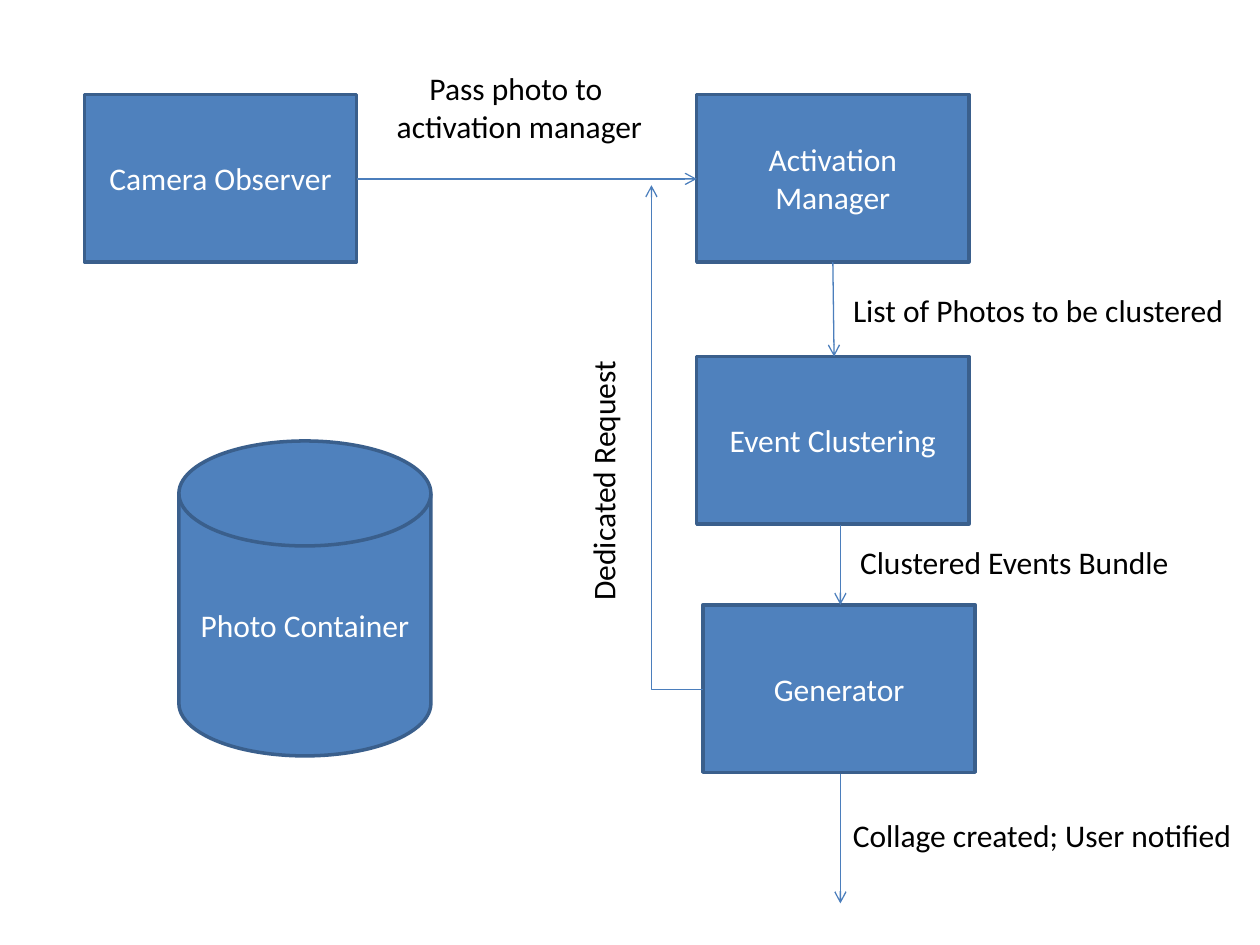
"""Build a slide showing how photos flow from camera observer to collage."""
from lxml.etree import SubElement
from pptx import Presentation
from pptx.dml.color import RGBColor
from pptx.enum.shapes import MSO_CONNECTOR as LINK, MSO_SHAPE as SHAPE
from pptx.enum.text import MSO_ANCHOR as ANCHOR, MSO_AUTO_SIZE as FIT, PP_ALIGN as ALIGN
from pptx.oxml.ns import qn
from pptx.util import Inches, Pt


def write(box, text, color="000000", align=ALIGN.CENTER, anchor=ANCHOR.TOP, wrap=True):
    frame = box.text_frame
    frame.word_wrap = wrap
    frame.vertical_anchor = anchor
    frame.text = text
    for para in frame.paragraphs:
        para.alignment = align
        for span in para.runs:
            span.font.name = "Calibri"
            span.font.size = Pt(18)
            span.font.color.rgb = RGBColor.from_string(color)


def connect(page, kind, start, end):
    arrow = page.shapes.add_connector(kind, *map(Inches, start + end))
    arrow.line.color.rgb = RGBColor.from_string("4B7EBC")
    arrow.line.width = Pt(0.75)
    properties = arrow._element.spPr
    SubElement(properties.find(qn("a:ln")), qn("a:tailEnd"), type="arrow")
    SubElement(properties, qn("a:effectLst"))
    return arrow


deck = Presentation()
deck.slide_width, deck.slide_height = Inches(10), Inches(7.5)
page = deck.slides.add_slide(deck.slide_layouts[6])

step_size = (2.16, 1.33)
nodes = [
    ("Camera Observer", SHAPE.RECTANGLE, (0.67, 0.75), step_size),
    ("Activation Manager", SHAPE.RECTANGLE, (5.53, 0.75), step_size),
    ("Photo Container", SHAPE.FLOWCHART_MAGNETIC_DISK, (1.42, 3.5), (2, 2.5)),
    ("Event Clustering", SHAPE.RECTANGLE, (5.53, 2.83), step_size),
    ("Generator", SHAPE.RECTANGLE, (5.58, 4.8), step_size),
]
for text, kind, place, size in nodes:
    node = page.shapes.add_shape(kind, *map(Inches, place + size))
    node.shadow.inherit = False
    node.fill.solid()
    node.fill.fore_color.rgb = RGBColor.from_string("4F81BD")
    node.line.color.rgb = RGBColor.from_string("3A5F8C")
    node.line.width = Pt(2)
    write(node, text, color="FFFFFF", anchor=ANCHOR.MIDDLE)

arrows = [
    ((2.83, 1.42), (5.53, 1.42)),
    ((6.61, 2.08), (6.62, 2.83)),
    ((6.67, 4.17), (6.67, 4.8)),
    ((6.67, 6.14), (6.67, 7.17)),
]
for start, end in arrows:
    connect(page, LINK.STRAIGHT, start, end)

request = connect(page, LINK.ELBOW, (5.17, 1.47), (5.58, 5.47))
request._element.spPr.find(qn("a:xfrm")).set("rot", str(180 * 60000))
request._element.spPr.find(qn("a:prstGeom")).set("prst", "bentConnector2")

labels = [
    ("Dedicated Request", (3.62, 3.5, 2.33, 0.4), 270, ALIGN.LEFT, True),
    ("List of Photos to be clustered", (6.61, 2.26, 3.26, 0.4), 0, ALIGN.CENTER, True),
    ("Clustered Events Bundle", (6.42, 4.26, 3.26, 0.4), 0, ALIGN.CENTER, True),
    ("Pass photo to\n activation manager", (2.98, 0.5, 2.23, 0.71), 0, ALIGN.CENTER, False),
    ("Collage created; User notified", (6.67, 6.43, 3.25, 0.4), 0, ALIGN.LEFT, False),
]
for text, area, turn, align, wrap in labels:
    label = page.shapes.add_textbox(*map(Inches, area))
    label.rotation = turn
    write(label, text, align=align, wrap=wrap)
    label.text_frame.auto_size = FIT.SHAPE_TO_FIT_TEXT

deck.save("out.pptx")
